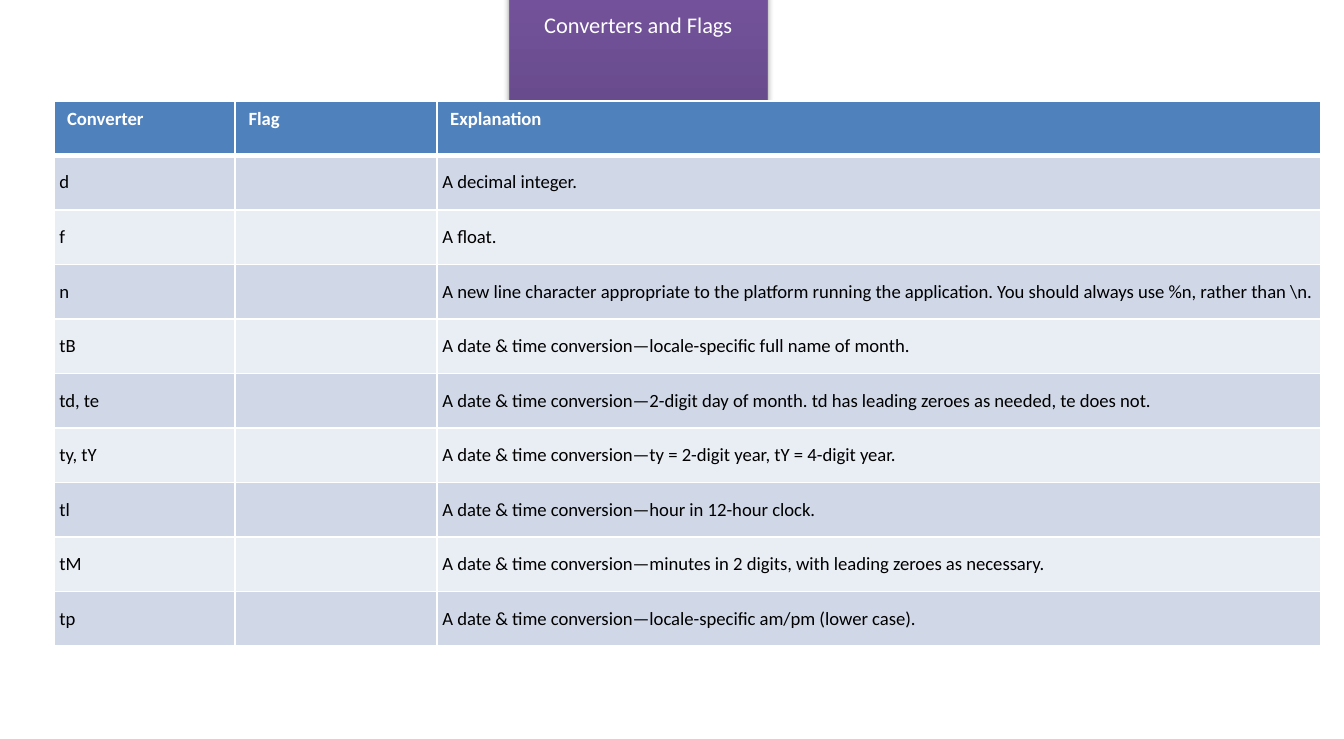
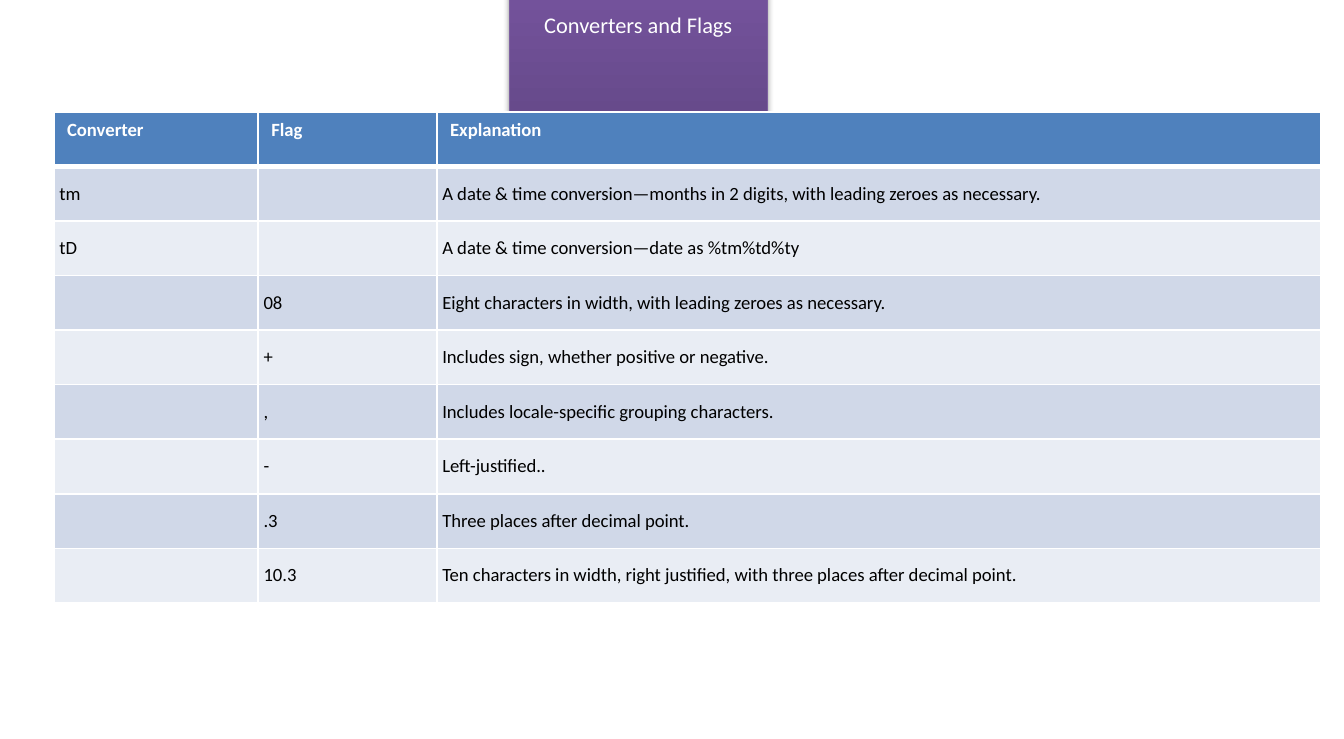
from copy import deepcopy
from dataclasses import dataclass

from pptx import Presentation
from pptx.dml.color import RGBColor as Rgb
from pptx.enum.text import MSO_ANCHOR as Anchor, MSO_AUTO_SIZE as Fit, PP_ALIGN as Align
from pptx.oxml import parse_xml as parse
from pptx.oxml.ns import nsdecls, qn
from pptx.slide import Slide
from pptx.table import _Cell as Cell
from pptx.util import Pt

FONT = "Calibri"
WHITE, BLACK = "FFFFFF", "000000"
HEAD = "4F81BD"
BANDS = ("D0D8E8", "E9EDF4")
EDGE = "7D60A0"
STOPS = ((0, "5F4480"), (0.8, "7B58A6"), (1, "7C57A8"))
TITLE = "Converters and Flags"
LABELS = ("Converter", "Flag", "Explanation")
LEFT, ROW, INSET = 28.8, 29.25, 3


@dataclass(frozen=True)
class Grid:
    top: float
    cols: tuple[float, ...]
    rows: tuple[tuple[str, str, str], ...]


GRIDS = (
    Grid(54, (97.2, 108, 473.8), (
        ("d", "", "A decimal integer."),
        ("f", "", "A float."),
        ("n", "", "A new line character appropriate to the platform running the application. "
                  r"You should always use %n, rather than \n."),
        ("tB", "", "A date & time conversion—locale-specific full name of month."),
        ("td, te", "", "A date & time conversion—2-digit day of month. "
                       "td has leading zeroes as needed, te does not."),
        ("ty, tY", "", "A date & time conversion—ty = 2-digit year, tY = 4-digit year."),
        ("tl", "", "A date & time conversion—hour in 12-hour clock."),
        ("tM", "", "A date & time conversion—minutes in 2 digits, with leading zeroes as necessary."),
        ("tp", "", "A date & time conversion—locale-specific am/pm (lower case)."),
    )),
    Grid(60, (109.4, 95.8, 473.8), (
        ("tm", "", "A date & time conversion—months in 2 digits, with leading zeroes as necessary."),
        ("tD", "", "A date & time conversion—date as %tm%td%ty"),
        ("", "08", "Eight characters in width, with leading zeroes as necessary."),
        ("", "+", "Includes sign, whether positive or negative."),
        ("", ",", "Includes locale-specific grouping characters."),
        ("", "-", "Left-justified.."),
        ("", ".3", "Three places after decimal point."),
        ("", "10.3", "Ten characters in width, right justified, with three places after decimal point."),
    )),
)


def tint(code: str) -> Rgb:
    return Rgb.from_string(code)


def style(frame, size: float, code: str, bold: bool = False) -> None:
    for para in frame.paragraphs:
        for run in para.runs:
            font = run.font
            font.name, font.size, font.bold = FONT, Pt(size), bold
            font.color.rgb = tint(code)


def add_title(slide: Slide) -> None:
    box = slide.shapes.title
    box.left, box.top, box.width, box.height = Pt(272.8), Pt(2.2), Pt(138.4), Pt(21.8)
    box.fill.gradient()
    props = box._element.spPr
    stops = props.find(".//" + qn("a:gsLst"))
    stops.append(deepcopy(stops[-1]))
    for stop, (place, code) in zip(box.fill.gradient_stops, STOPS):
        stop.position = place
        stop.color.rgb = tint(code)
    box.fill.gradient_angle = 90
    box.line.color.rgb = tint(EDGE)
    box.line.width = Pt(0.75)
    props.append(parse(
        f'<a:effectLst {nsdecls("a")}><a:outerShdw blurRad="{Pt(3.1)}" dist="{Pt(1.8)}" '
        f'dir="5400000" rotWithShape="0"><a:srgbClr val="{tint(BLACK)}">'
        '<a:alpha val="35000"/></a:srgbClr></a:outerShdw></a:effectLst>'))
    frame = box.text_frame
    frame.text = TITLE
    frame.auto_size = Fit.SHAPE_TO_FIT_TEXT
    frame.vertical_anchor = Anchor.MIDDLE
    frame.paragraphs[0].alignment = Align.CENTER
    style(frame, 12, WHITE)


def add_edges(cell: Cell, top: float, base: float) -> None:
    props = cell._tc.get_or_add_tcPr()
    for side, width in (("L", 1), ("R", 1), ("T", top), ("B", base)):
        props.append(parse(
            f'<a:ln{side} {nsdecls("a")} w="{Pt(width)}"><a:solidFill>'
            f'<a:srgbClr val="{tint(WHITE)}"/></a:solidFill></a:ln{side}>'))


def fill_cell(cell: Cell, text: str, row: int) -> None:
    head = row == 0
    add_edges(cell, 3 if row == 1 else 1, 3 if head else 1)
    cell.fill.solid()
    cell.fill.fore_color.rgb = tint(HEAD if head else BANDS[(row - 1) % 2])
    if not head:
        cell.vertical_anchor = Anchor.MIDDLE
        cell.margin_left = cell.margin_right = Pt(INSET)
        cell.margin_top = cell.margin_bottom = Pt(INSET)
    if text:
        cell.text_frame.text = text
        style(cell.text_frame, 10, WHITE if head else BLACK, head)


def add_grid(slide: Slide, grid: Grid) -> None:
    rows = (LABELS, *grid.rows)
    table = slide.shapes.add_table(
        len(rows), len(LABELS), Pt(LEFT), Pt(grid.top),
        Pt(sum(grid.cols)), Pt(ROW * len(rows))).table
    for col, width in zip(table.columns, grid.cols):
        col.width = Pt(width)
    for r, texts in enumerate(rows):
        table.rows[r].height = Pt(ROW)
        for c, text in enumerate(texts):
            fill_cell(table.cell(r, c), text, r)


def main() -> None:
    deck = Presentation()
    deck.slide_width, deck.slide_height = Pt(720), Pt(396)
    for grid in GRIDS:
        slide = deck.slides.add_slide(deck.slide_layouts[5])
        add_title(slide)
        add_grid(slide, grid)
    deck.save("out.pptx")


if __name__ == "__main__":
    main()
